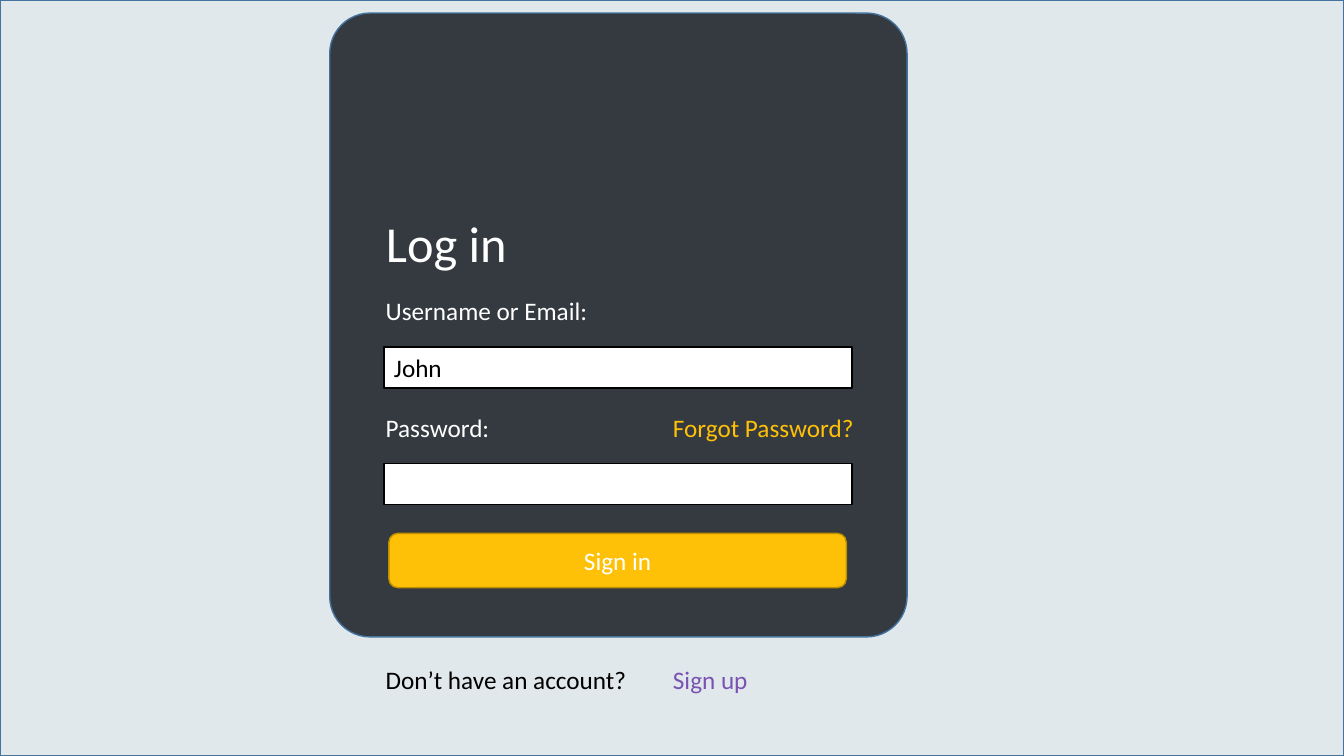
"""Build a login form slide."""
from dataclasses import dataclass

from pptx import Presentation
from pptx import util as u
from pptx.dml import color
from pptx.enum import shapes, text


@dataclass(frozen=True)
class Theme:
    """Colours, font and type sizes of the slide."""
    font: str = "Calibri"
    title_size: int = 36
    body_size: int = 18
    page: str = "E1E8EB"
    card: str = "343A40"
    outline: str = "43739E"
    accent: str = "FFC107"
    accent_line: str = "BD8E00"
    link: str = "7952B3"
    white: str = "FFFFFF"
    black: str = "000000"


THEME = Theme()
SLIDE_WIDTH, SLIDE_HEIGHT = 33.87, 19.05
LABEL_LEFT, LINK_LEFT = 9.47, 16.71
LABEL_HEIGHT = 1.02
FIRST_LABEL_TOP, ROW_PITCH, FIELD_OFFSET = 7.32, 2.94, 1.42


def set_values(target, values):
    """Set every attribute in a dict of format values."""
    for name, value in values.items():
        setattr(target, name, value)


def write(shape, words, ink, size=THEME.body_size, align="LEFT", anchor="TOP"):
    """Put formatted text into a shape."""
    frame = shape.text_frame
    frame.text = words
    set_values(frame, {
        "word_wrap": True,
        "auto_size": text.MSO_AUTO_SIZE.NONE,
        "vertical_anchor": getattr(text.MSO_ANCHOR, anchor),
    })
    paragraph = frame.paragraphs[0]
    paragraph.alignment = getattr(text.PP_ALIGN, align)
    font = paragraph.runs[0].font
    set_values(font, {"name": THEME.font, "size": u.Pt(size)})
    font.color.rgb = color.RGBColor.from_string(ink)


def add_panel(slide, box, fill, line, kind="RECTANGLE"):
    """Add a filled and outlined shape."""
    preset = getattr(shapes.MSO_SHAPE, kind)
    shape = slide.shapes.add_shape(preset, *map(u.Cm, box))
    shape.shadow.inherit = False
    shape.fill.solid()
    shape.fill.fore_color.rgb = color.RGBColor.from_string(fill)
    shape.line.color.rgb = color.RGBColor.from_string(line)
    shape.line.width = u.Pt(1)
    return shape


def add_label(slide, left, top, width, words, ink):
    """Add a line of text without a frame."""
    box = map(u.Cm, (left, top, width, LABEL_HEIGHT))
    write(slide.shapes.add_textbox(*box), words, ink)


def add_field(slide, top, caption, value=""):
    """Add a caption with its input box below."""
    add_label(slide, LABEL_LEFT, top, 7.24, caption, THEME.white)
    box = (9.68, top + FIELD_OFFSET, 11.79, 1.04)
    field = add_panel(slide, box, THEME.white, THEME.black)
    if value:
        write(field, value, THEME.black, anchor="MIDDLE")


def place_title(slide, words):
    """Move the title placeholder onto the card and format it."""
    title = slide.shapes.title
    title.element.getparent().append(title.element)
    set_values(title, {
        "left": u.Cm(LABEL_LEFT), "top": u.Cm(5.21),
        "width": u.Cm(4.52), "height": u.Cm(1.8),
    })
    write(title, words, THEME.white, THEME.title_size)


def main():
    """Build and save the presentation."""
    presentation = Presentation()
    set_values(presentation, {
        "slide_width": u.Cm(SLIDE_WIDTH),
        "slide_height": u.Cm(SLIDE_HEIGHT),
    })
    slide = presentation.slides.add_slide(presentation.slide_layouts[5])

    page_box = (0, 0, SLIDE_WIDTH, SLIDE_HEIGHT)
    add_panel(slide, page_box, THEME.page, THEME.outline)
    card = add_panel(slide, (8.31, 0.33, 14.55, 15.72), THEME.card,
                     THEME.outline, "ROUNDED_RECTANGLE")
    card.adjustments[0] = 0.07
    place_title(slide, "Log in")

    fields = (("Username or Email:", "John"), ("Password:", ""))
    for row, (caption, value) in enumerate(fields):
        add_field(slide, FIRST_LABEL_TOP + row * ROW_PITCH, caption, value)
    add_label(slide, LINK_LEFT, FIRST_LABEL_TOP + ROW_PITCH, 7.24,
              "Forgot Password?", THEME.accent)

    button = add_panel(slide, (9.8, 13.44, 11.53, 1.37), THEME.accent,
                       THEME.accent_line, "ROUNDED_RECTANGLE")
    write(button, "Sign in", THEME.white, align="CENTER", anchor="MIDDLE")

    footer = ((LABEL_LEFT, "Don’t have an account?", THEME.black),
              (LINK_LEFT, "Sign up", THEME.link))
    for left, words, ink in footer:
        add_label(slide, left, 16.61, 11.48, words, ink)

    presentation.save("out.pptx")


main()
